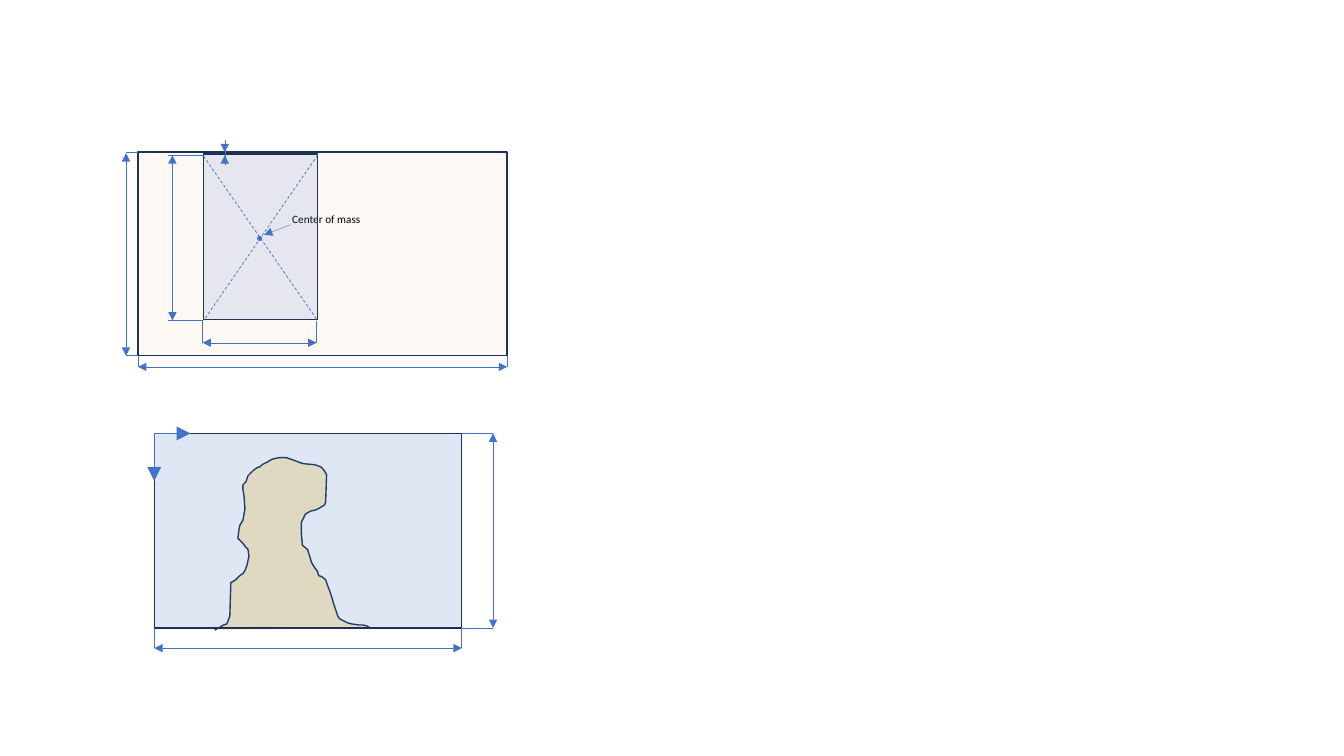
from lxml import etree
from pptx import Presentation
from pptx.dml.color import RGBColor
from pptx.enum.dml import MSO_LINE
from pptx.enum.shapes import MSO_CONNECTOR, MSO_SHAPE
from pptx.enum.text import MSO_AUTO_SIZE
from pptx.oxml.ns import qn
from pptx.util import Inches, Pt

STRAIGHT = MSO_CONNECTOR.STRAIGHT
RECTANGLE = MSO_SHAPE.RECTANGLE
OVAL = MSO_SHAPE.OVAL
DASH = MSO_LINE.DASH
FIT_SHAPE = MSO_AUTO_SIZE.SHAPE_TO_FIT_TEXT

BLUE = "4472C4"
NAVY = "1E3256"
PEACH = "FBE5D6"
GOLD = "FFC000"
BLACK = "000000"

# Hundredths of an inch
ROCK_OUTLINE = [
    (213, 625), (217, 623), (220, 621), (222, 620), (225, 619), (227, 614),
    (228, 611), (229, 578), (231, 577), (234, 575), (238, 571), (241, 569),
    (243, 566), (245, 561), (246, 556), (247, 552), (246, 545), (243, 542),
    (241, 539), (238, 536), (236, 534), (237, 526), (238, 521), (241, 516),
    (243, 505), (242, 491), (241, 486), (241, 481), (244, 478), (246, 472),
    (249, 469), (251, 467), (255, 464), (258, 463), (260, 461), (264, 459),
    (266, 458), (269, 456), (272, 455), (277, 454), (284, 454), (290, 456),
    (295, 458), (301, 460), (312, 461), (318, 463), (321, 466), (323, 469),
    (324, 471), (323, 498), (322, 501), (317, 504), (313, 506), (308, 507),
    (303, 510), (301, 514), (299, 518), (299, 530), (300, 541), (305, 545),
    (307, 551), (309, 558), (312, 563), (315, 567), (316, 571), (319, 572),
    (323, 575), (325, 581), (327, 586), (329, 592), (331, 599), (333, 605),
    (335, 611), (337, 614), (341, 616), (345, 618), (349, 619), (356, 620),
    (360, 620), (364, 621), (367, 623),
]


def rgb(color):
    return RGBColor.from_string(color)


def paint(s, color, opacity=100, outline=None):
    s.shadow.inherit = False
    s.fill.solid()
    s.fill.fore_color.rgb = rgb(color)
    if opacity < 100:
        clr = s.fill._xPr.find(qn("a:solidFill"))[0]
        etree.SubElement(clr, qn("a:alpha")).set("val", str(opacity * 1000))
    if outline:
        s.line.color.rgb = rgb(outline)
        s.line.width = Pt(1)
    else:
        s.line.fill.background()


def add_shape(group, kind, box, color, opacity=100, outline=None):
    s = group.shapes.add_shape(kind, *[Inches(v) for v in box])
    paint(s, color, opacity, outline)


def add_outline(group, points, color, opacity):
    builder = group.shapes.build_freeform(*points[0], scale=Inches(0.01))
    builder.add_line_segments(points[1:], close=False)
    paint(builder.convert_to_shape(), color, opacity, NAVY)


def add_line(group, start, end, width, ends=(), dash=None, size="med"):
    s = group.shapes.add_connector(STRAIGHT, *[Inches(v) for v in start + end])
    s.line.color.rgb = rgb(BLUE)
    s.line.width = Pt(width)
    if dash:
        s.line.dash_style = dash
    ln = s.line._get_or_add_ln()
    for name in ends:
        arrow = etree.SubElement(ln, qn("a:" + name))
        arrow.set("type", "triangle")
        arrow.set("w", size)
        arrow.set("len", size)
    etree.SubElement(s._element.spPr, qn("a:effectLst"))


def add_dimension(group, start, end, width):
    add_line(group, start, end, width, ("headEnd", "tailEnd"))


def add_label(group, box, text):
    s = group.shapes.add_textbox(*[Inches(v) for v in box])
    tf = s.text_frame
    tf.text = text
    tf.word_wrap = False
    tf.auto_size = FIT_SHAPE
    font = tf.paragraphs[0].runs[0].font
    font.name = "Calibri"
    font.size = Pt(8)
    font.color.rgb = rgb(BLACK)


def add_bounding_box_diagram(group):
    thin = 0.25
    add_shape(group, RECTANGLE, (1.37, 1.51, 3.66, 2.02), PEACH, 23, NAVY)
    add_label(group, (2.8, 2.06, 0.88, 0.24), "Center of mass")
    add_line(group, (2.88, 2.23), (2.62, 2.33), thin, ["tailEnd"])
    add_shape(group, RECTANGLE, (2.02, 1.53, 1.13, 1.64), BLUE, 13, NAVY)

    add_line(group, (2.23, 1.39), (2.23, 1.64), thin)
    add_line(group, (2.23, 1.39), (2.23, 1.51), thin, ["tailEnd"])
    add_line(group, (2.23, 1.64), (2.23, 1.54), thin, ["tailEnd"])

    for y in (1.54, 3.18):
        add_line(group, (2.01, y), (1.67, y), thin)
    add_dimension(group, (1.71, 1.54), (1.71, 3.18), thin)
    for x in (2.01, 3.14):
        add_line(group, (x, 3.18), (x, 3.4), thin)
    add_dimension(group, (2.01, 3.4), (3.14, 3.4), thin)

    add_line(group, (2.02, 1.55), (3.15, 3.18), 0.5, dash=DASH)
    add_line(group, (3.15, 1.54), (2.02, 3.18), 0.5, dash=DASH)
    add_shape(group, OVAL, (2.55, 2.34, 0.05, 0.05), BLUE)

    for x in (1.37, 5.03):
        add_line(group, (x, 3.53), (x, 3.64), thin)
    add_dimension(group, (1.37, 3.64), (5.03, 3.64), thin)
    for y in (1.51, 3.52):
        add_line(group, (1.25, y), (1.37, y), thin)
    add_dimension(group, (1.25, 1.52), (1.25, 3.53), thin)


def add_rock_diagram(group):
    left, top, right, bottom = 1.53, 4.3, 4.58, 6.23
    add_outline(group, ROCK_OUTLINE, GOLD, 24)
    frame = (left, top, right - left, bottom - top)
    add_shape(group, RECTANGLE, frame, BLUE, 17, NAVY)

    for y in (top, bottom):
        add_line(group, (right, y), (4.89, y), 0.5)
    add_dimension(group, (4.89, top), (4.89, bottom), 0.5)
    for x in (left, right):
        add_line(group, (x, bottom), (x, 6.43), 0.5)
    add_dimension(group, (left, 6.43), (right, 6.43), 0.5)

    for tip in ((left, 4.77), (1.89, top)):
        add_line(group, (left, top), tip, 0.5, ["tailEnd"], size="lg")


def main():
    prs = Presentation()
    prs.slide_width = Inches(13.33)
    prs.slide_height = Inches(7.5)
    slide = prs.slides.add_slide(prs.slide_layouts[6])
    add_bounding_box_diagram(slide.shapes.add_group_shape())
    add_rock_diagram(slide.shapes.add_group_shape())
    prs.save("out.pptx")


if __name__ == "__main__":
    main()
